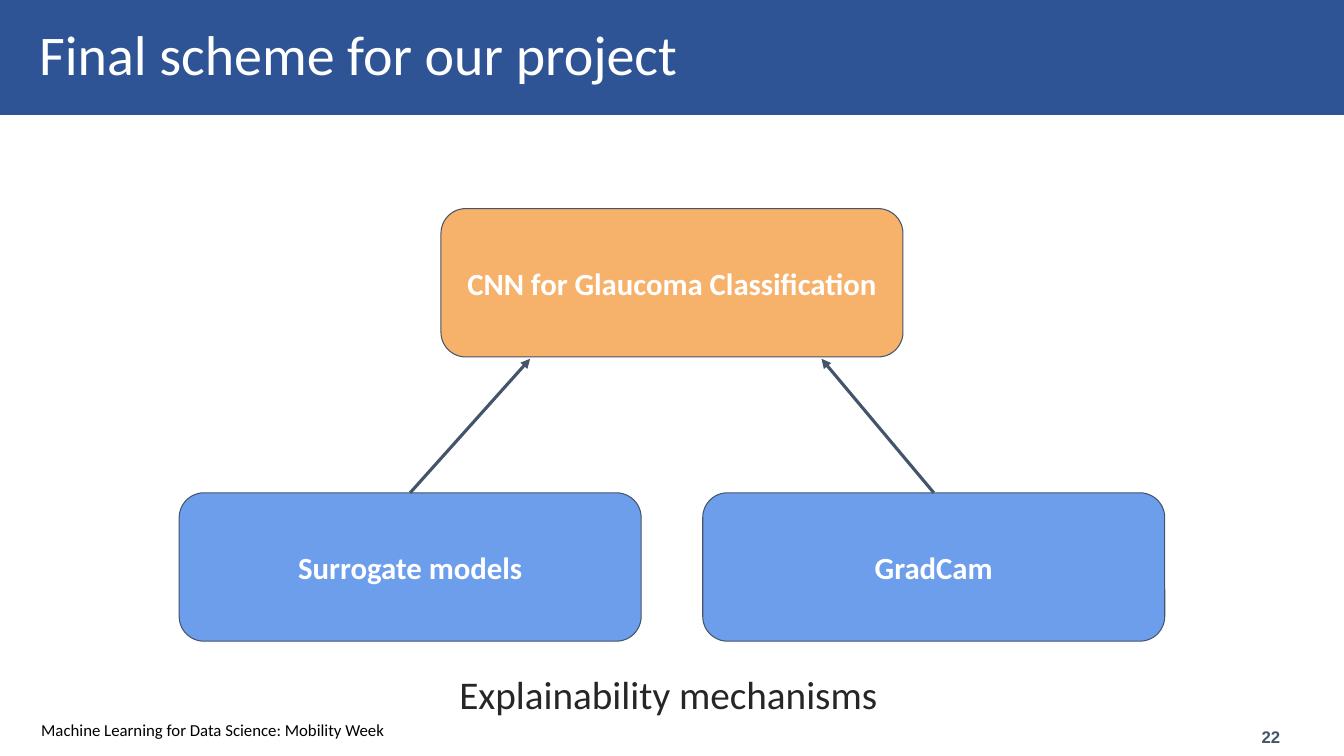
from lxml import etree
from pptx import Presentation
from pptx.dml.color import RGBColor
from pptx.enum.shapes import MSO_CONNECTOR, MSO_SHAPE
from pptx.enum.text import MSO_ANCHOR, PP_ALIGN
from pptx.oxml.ns import qn
from pptx.util import Pt

NAVY = RGBColor(0x2F, 0x54, 0x96)
SLATE = RGBColor(0x44, 0x54, 0x6A)
ORANGE = RGBColor(0xF6, 0xB2, 0x6B)
BLUE = RGBColor(0x6D, 0x9E, 0xEB)
CHARCOAL = RGBColor(0x26, 0x26, 0x26)
BLACK = RGBColor(0, 0, 0)
WHITE = RGBColor(0xFF, 0xFF, 0xFF)

RECTANGLE = MSO_SHAPE.RECTANGLE
ROUNDED = MSO_SHAPE.ROUNDED_RECTANGLE
STRAIGHT = MSO_CONNECTOR.STRAIGHT
TOP, MIDDLE = MSO_ANCHOR.TOP, MSO_ANCHOR.MIDDLE
LEFT, CENTER, RIGHT = PP_ALIGN.LEFT, PP_ALIGN.CENTER, PP_ALIGN.RIGHT

SLIDE_WIDTH, SLIDE_HEIGHT = 960, 540
BOX_WIDTH, BOX_HEIGHT = 330, 106
MODEL_TOP, MECHANISM_TOP = 149, 352
MECHANISM_OFFSET = 187  # from the slide centre to a mechanism's centre
ARROW_END_Y = 256.3


def write(shape, text, size, color, bold=False, align=LEFT, anchor=TOP,
          font="Calibri", left_inset=7.2, vertical_inset=3.6):
    """Fill the shape with one formatted paragraph and return it."""
    frame = shape.text_frame
    frame.word_wrap = True
    frame.vertical_anchor = anchor
    frame.margin_left, frame.margin_right = Pt(left_inset), Pt(7.2)
    frame.margin_top = frame.margin_bottom = Pt(vertical_inset)
    paragraph = frame.paragraphs[0]
    paragraph.text = text
    paragraph.alignment = align
    paragraph.font.name = font
    paragraph.font.size = Pt(size)
    paragraph.font.bold = bold
    paragraph.font.color.rgb = color
    return paragraph


def add_box(center_x, top, text, fill):
    box = slide.shapes.add_shape(ROUNDED, Pt(center_x - BOX_WIDTH / 2), Pt(top),
                                 Pt(BOX_WIDTH), Pt(BOX_HEIGHT))
    box.shadow.inherit = False
    box.adjustments[0] = 0.167
    box.fill.solid()
    box.fill.fore_color.rgb = fill
    box.line.color.rgb = SLATE
    box.line.width = Pt(0.75)
    write(box, text, 22, WHITE, bold=True, align=CENTER, anchor=MIDDLE,
          vertical_inset=7.2)


presentation = Presentation()
presentation.slide_width = Pt(SLIDE_WIDTH)
presentation.slide_height = Pt(SLIDE_HEIGHT)
slide = presentation.slides.add_slide(presentation.slide_layouts[6])

# Title band
title = slide.shapes.add_shape(RECTANGLE, 0, 0, Pt(SLIDE_WIDTH), Pt(82))
title.shadow.inherit = False
title.fill.solid()
title.fill.fore_color.rgb = NAVY
title.line.fill.background()
title_paragraph = write(title, "Final scheme for our project", 40, WHITE,
                        anchor=MIDDLE, left_inset=28)
title_paragraph.line_spacing = 0.9

# Footer
footer = slide.shapes.add_textbox(Pt(22.3), Pt(510.5), Pt(483), Pt(21.6))
write(footer, "Machine Learning for Data Science: Mobility Week", 12, BLACK)
page_number = slide.shapes.add_textbox(Pt(880), Pt(519), Pt(41.6), Pt(14.4))
write(page_number, "22", 12, SLATE, bold=True, align=RIGHT, anchor=MIDDLE,
      font="Arial")

# Model and the mechanisms that explain it
center = SLIDE_WIDTH / 2
add_box(center, MODEL_TOP, "CNN for Glaucoma Classification", ORANGE)
mechanisms = [
    ("Surrogate models", center - MECHANISM_OFFSET, 378.7),
    ("GradCam", center + MECHANISM_OFFSET, 586.8),
]
for name, mechanism_x, arrow_end_x in mechanisms:
    add_box(mechanism_x, MECHANISM_TOP, name, BLUE)
    arrow = slide.shapes.add_connector(STRAIGHT, Pt(mechanism_x), Pt(MECHANISM_TOP),
                                       Pt(arrow_end_x), Pt(ARROW_END_Y))
    arrow.line.color.rgb = SLATE
    arrow.line.width = Pt(2.25)
    etree.SubElement(arrow.line._get_or_add_ln(), qn("a:tailEnd"), type="triangle")
    etree.SubElement(arrow._element.spPr, qn("a:effectLst"))

caption = slide.shapes.add_textbox(Pt(321), Pt(471.6), Pt(317.5), Pt(24))
write(caption, "Explainability mechanisms", 28, CHARCOAL, vertical_inset=7.2)

presentation.save("out.pptx")
